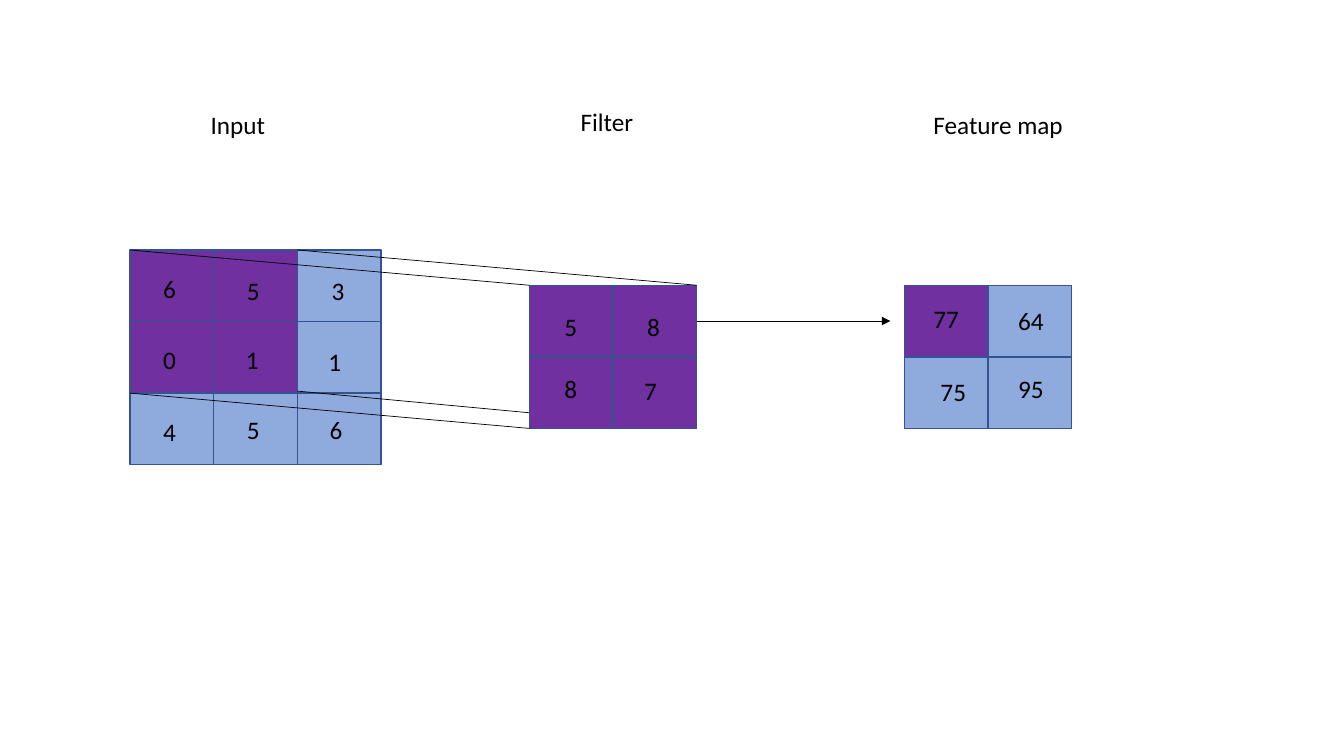
from pptx import Presentation
from pptx.dml.color import RGBColor
from pptx.enum.shapes import MSO_CONNECTOR, MSO_SHAPE
from pptx.oxml.ns import qn
from pptx.util import Inches, Pt
from lxml import etree

RECT = MSO_SHAPE.RECTANGLE
STRAIGHT = MSO_CONNECTOR.STRAIGHT
PURPLE = RGBColor(0x70, 0x30, 0xA0)
BLUE = RGBColor(0x8F, 0xAA, 0xDC)
BORDER = RGBColor(0x32, 0x54, 0x91)
BLACK = RGBColor(0, 0, 0)

CELL_W, CELL_H = 0.83, 0.71
TEXT_H = 0.4
INPUT = (1.29, 2.48)
FILTER = (5.25, 2.83)
FEATURE_MAP = (8.97, 2.83)

# Each entry is a value and its text box's offset from the cell's corner
INPUT_VALUES = [
    [("6", 0.23, 0.18), ("5", 0.23, 0.2), ("3", 0.24, 0.2)],
    [("0", 0.23, 0.18), ("1", 0.22, 0.18), ("1", 0.21, 0.2)],
    [("4", 0.23, 0.18), ("5", 0.23, 0.16), ("6", 0.22, 0.16)],
]
FILTER_VALUES = [
    [("5", 0.25, 0.21), ("8", 0.24, 0.21)],
    [("8", 0.25, 0.11), ("7", 0.21, 0.13)],
]
FEATURE_VALUES = [
    [("77", 0.19, 0.13), ("64", 0.2, 0.15)],
    [("75", 0.26, 0.14), ("95", 0.2, 0.11)],
]
HEADINGS = [
    ("Input", 1.99, 1.04, 1.17),
    ("Filter", 5.66, 1.01, 1.17),
    ("Feature map", 9.16, 1.04, 1.52),
]


def corner(origin, col, row):
    """Return the grid point that lies col cells right and row cells down."""
    return origin[0] + col * CELL_W, origin[1] + row * CELL_H


def add_text(s, text, x, y, width):
    tf = s.shapes.add_textbox(Inches(x), Inches(y), Inches(width), Inches(TEXT_H)).text_frame
    tf.word_wrap = True
    p = tf.paragraphs[0]
    p.text = text
    p.font.name = "Calibri"
    p.font.size = Pt(18)
    p.font.color.rgb = BLACK


def add_cell(s, x, y, fill):
    sp = s.shapes.add_shape(RECT, Inches(x), Inches(y), Inches(CELL_W), Inches(CELL_H))
    sp.shadow.inherit = False
    sp.fill.solid()
    sp.fill.fore_color.rgb = fill
    sp.line.color.rgb = BORDER
    sp.line.width = Pt(1)
    return sp


def add_matrix(s, origin, values, purple_size):
    """Draw a matrix whose top left purple_size square is purple; return its cells."""
    cells = {}
    for row, entries in enumerate(values):
        for col in range(len(entries)):
            fill = PURPLE if max(row, col) < purple_size else BLUE
            cells[row, col] = add_cell(s, *corner(origin, col, row), fill)
    for row, entries in enumerate(values):
        for col, (text, dx, dy) in enumerate(entries):
            x, y = corner(origin, col, row)
            add_text(s, text, x + dx, y + dy, 0.2 + 0.2 * len(text) if len(text) > 1 else 0.43)
    return cells


def add_line(s, start, end):
    line = s.shapes.add_connector(STRAIGHT, *(Inches(v) for v in (*start, *end)))
    line.line.color.rgb = BLACK
    line.line.width = Pt(0.5)
    etree.SubElement(line._element.spPr, qn("a:effectLst"))
    return line


def add_arrow_head(line):
    etree.SubElement(line.line._get_or_add_ln(), qn("a:tailEnd"), type="triangle")


def main():
    prs = Presentation()
    prs.slide_width, prs.slide_height = Inches(13.33), Inches(7.5)
    s = prs.slides.add_slide(prs.slide_layouts[6])

    for heading in HEADINGS:
        add_text(s, *heading)

    add_matrix(s, INPUT, INPUT_VALUES, 2)
    # The filter covers the far end of this projection line
    x, y = corner(INPUT, 2, 2)
    add_line(s, corner(FILTER, 2, 2), (x, y - 0.02))
    filter_cells = add_matrix(s, FILTER, FILTER_VALUES, 2)
    add_matrix(s, FEATURE_MAP, FEATURE_VALUES, 1)

    for col, row in [(0, 0), (0, 2), (2, 0)]:
        add_line(s, corner(FILTER, col, row), corner(INPUT, col, row))

    y = FILTER[1] + CELL_H / 2
    arrow = add_line(s, (FILTER[0] + 2 * CELL_W, y), (8.83, y))
    arrow.begin_connect(filter_cells[0, 1], 3)
    add_arrow_head(arrow)

    prs.save("out.pptx")


if __name__ == "__main__":
    main()
